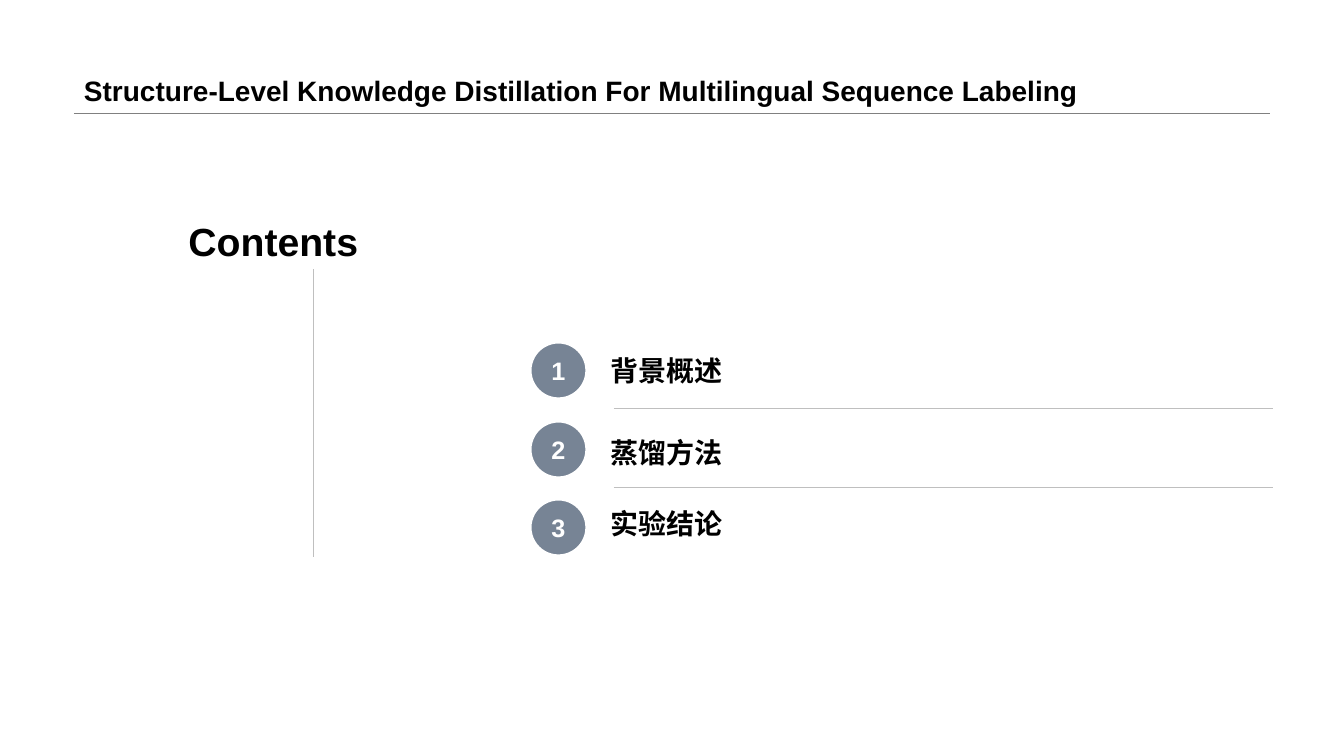
from lxml import etree
from pptx import Presentation
from pptx.dml.color import RGBColor
from pptx.enum.shapes import MSO_CONNECTOR, MSO_SHAPE
from pptx.enum.text import MSO_ANCHOR, PP_ALIGN
from pptx.oxml.ns import qn
from pptx.util import Emu, Pt

LEFT, CENTER, RIGHT = PP_ALIGN.LEFT, PP_ALIGN.CENTER, PP_ALIGN.RIGHT
TOP, MIDDLE, BOTTOM = MSO_ANCHOR.TOP, MSO_ANCHOR.MIDDLE, MSO_ANCHOR.BOTTOM
OVAL, RECT, STRAIGHT = MSO_SHAPE.OVAL, MSO_SHAPE.RECTANGLE, MSO_CONNECTOR.STRAIGHT

# Content
TITLE = "Structure-Level Knowledge Distillation For Multilingual Sequence Labeling"
HEADING = "Contents"
# label, circle top, label top, label height, anchor, line spacing
TOPICS = [
    ("背景概述", 342, 351, 42, BOTTOM, 0.9),
    ("蒸馏方法", 421, 429, 47, MIDDLE, 1.0),
    ("实验结论", 499, 504, 42, BOTTOM, 0.9),
]
# x1, y1, x2, y2, colour
RULES = [
    (74, 113, 1270, 113, "808080"),
    (614, 408, 1273, 408, "BFBFBF"),
    (614, 487, 1273, 487, "BFBFBF"),
    (313, 217, 313, 557, "BFBFBF"),
]

# Layout in px
SLIDE_W, SLIDE_H = 1344, 756
CIRCLE_X, CIRCLE_D = 530, 57
LABEL_X, LABEL_W = 601, 671
FONT, BLACK, WHITE, SLATE = "Arial", "000000", "FFFFFF", "778495"


def px(n):
    return Emu(round(n * 914400 / 100.8))


def rgb(value):
    return RGBColor.from_string(value)


def write(s, text, size, color=BLACK, align=LEFT, anchor=TOP, spacing=1.0):
    tf = s.text_frame
    tf.word_wrap = True
    tf.vertical_anchor = anchor
    p = tf.paragraphs[0]
    p.alignment = align
    p.line_spacing = spacing
    r = p.add_run()
    r.text = text
    r.font.name = FONT
    r.font.size = Pt(size)
    r.font.bold = True
    r.font.color.rgb = rgb(color)


def add_text(box, *args, **kwargs):
    write(slide.shapes.add_textbox(*map(px, box)), *args, **kwargs)


def add_filled(kind, box, fill):
    sp = slide.shapes.add_shape(kind, *map(px, box))
    sp.shadow.inherit = False
    sp.fill.solid()
    sp.fill.fore_color.rgb = rgb(fill)
    sp.line.fill.background()
    return sp


prs = Presentation()
prs.slide_width, prs.slide_height = px(SLIDE_W), px(SLIDE_H)
slide = prs.slides.add_slide(prs.slide_layouts[6])

# Rules
for x1, y1, x2, y2, color in RULES:
    rule = slide.shapes.add_connector(STRAIGHT, px(x1), px(y1), px(x2), px(y2))
    rule.line.color.rgb = rgb(color)
    rule.line.width = Pt(0.25)
    etree.SubElement(rule.line._get_or_add_ln().getparent(), qn("a:effectLst"))

# Title and heading
add_text((74, 0, 1196, 113), TITLE, 20, anchor=BOTTOM, spacing=0.9)
heading = add_filled(RECT, (175, 212, 193, 57), WHITE)
write(heading, HEADING, 28, align=RIGHT)

# Numbered topics
for number, (label, circle_y, y, h, anchor, spacing) in enumerate(TOPICS, 1):
    circle = add_filled(OVAL, (CIRCLE_X, circle_y, CIRCLE_D, CIRCLE_D), SLATE)
    circle.line.color.rgb = rgb(WHITE)
    circle.line.width = Pt(2.25)
    write(circle, str(number), 18, WHITE, CENTER, MIDDLE)
    add_text((LABEL_X, y, LABEL_W, h), label, 20, anchor=anchor, spacing=spacing)

prs.save("out.pptx")
